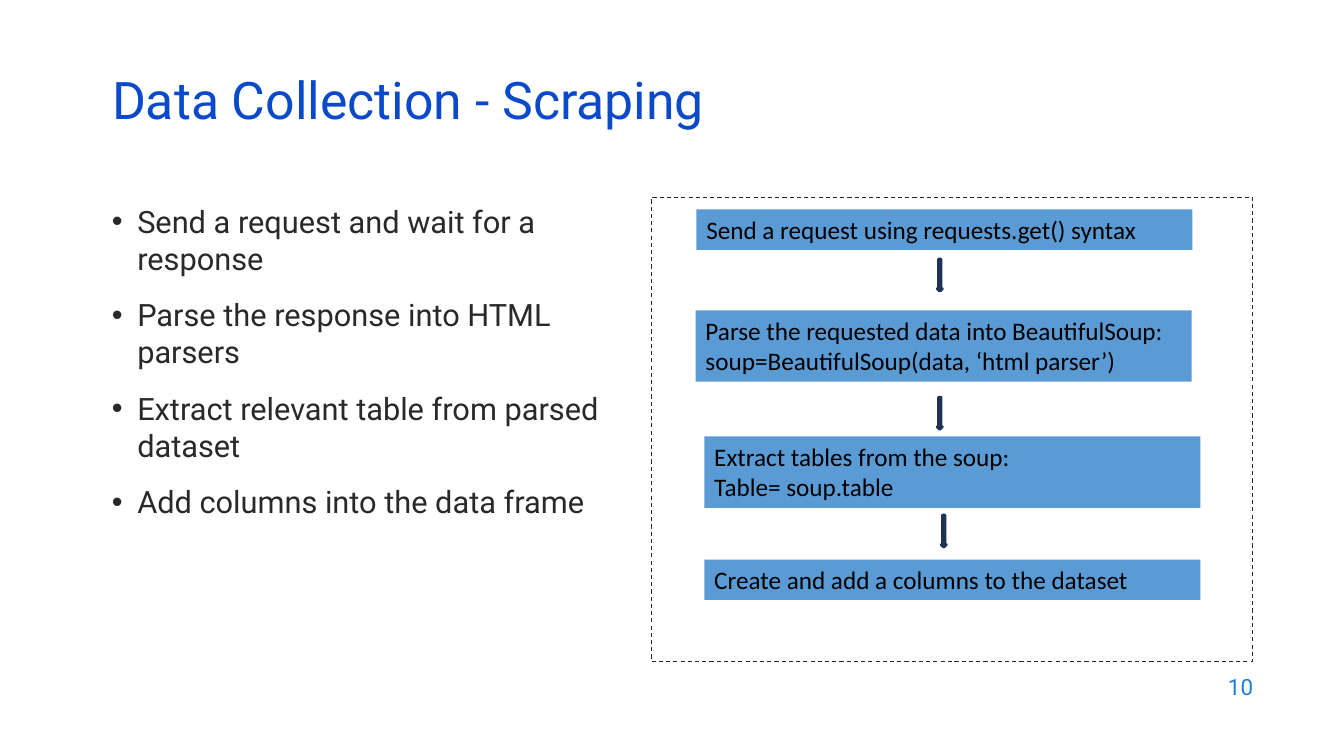
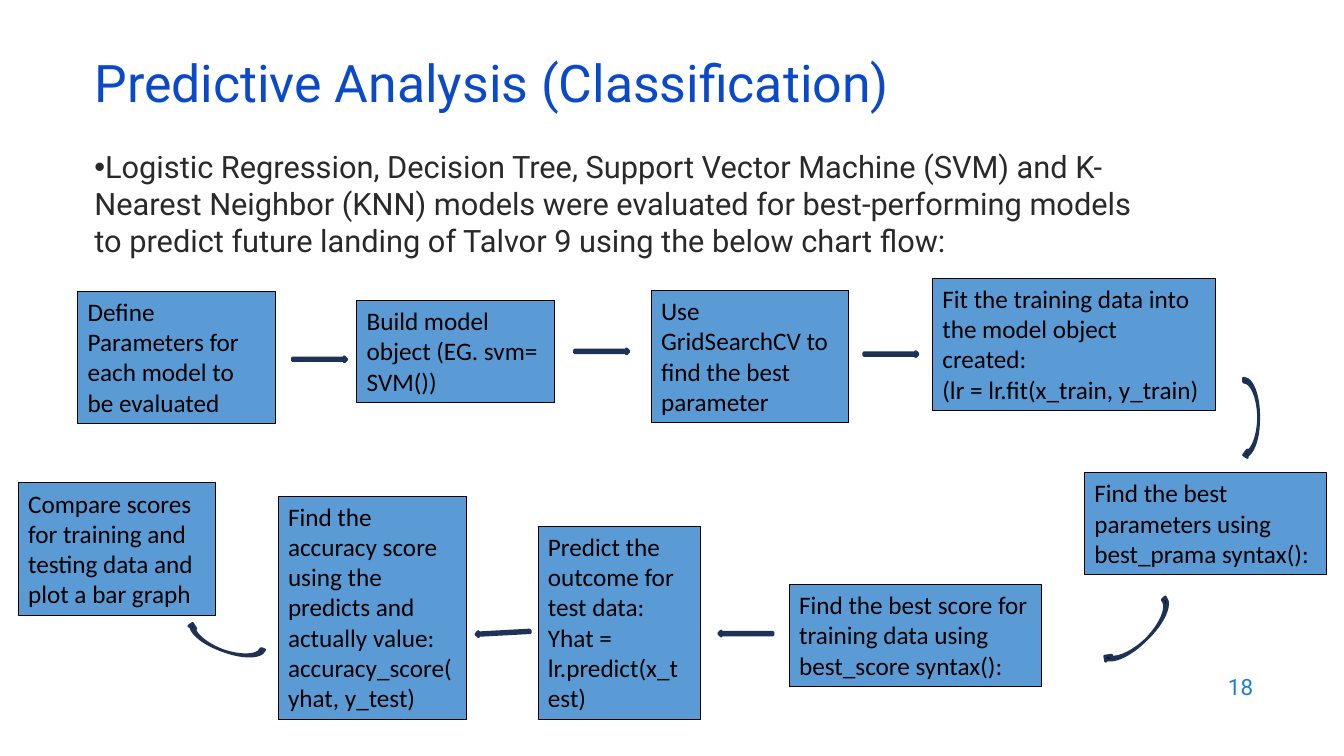
from lxml.etree import SubElement
from pptx import Presentation
from pptx.dml.color import RGBColor
from pptx.enum.dml import MSO_LINE
from pptx.enum.shapes import MSO_SHAPE
from pptx.enum.text import MSO_ANCHOR, MSO_AUTO_SIZE, PP_ALIGN
from pptx.oxml.ns import qn
from pptx.util import Cm, Pt

TITLE_BLUE = RGBColor(0x0B, 0x49, 0xCB)
NUMBER_BLUE = RGBColor(0x1C, 0x7D, 0xDB)
BODY_GREY = RGBColor(0x29, 0x29, 0x29)
BOX_BLUE = RGBColor(0x5B, 0x9B, 0xD5)
ARROW_BLUE = RGBColor(0x44, 0x72, 0xC4)
ARROW_EDGE = RGBColor(0x1E, 0x32, 0x56)
BLACK = RGBColor(0, 0, 0)
HEADING_FONT = "Roboto"
BOX_FONT = "Calibri"
TITLE_ONLY = 5

STEP_WIDTH = 12.5
ONE_LINE, TWO_LINES = 1.02, 1.8
SCRAPING_POINTS = [
    "Send a request and wait for a response",
    "Parse the response into HTML parsers",
    "Extract relevant table from parsed dataset",
    "Add columns into the data frame",
]
SCRAPING_STEPS = [
    (17.55, 5.28, ONE_LINE, "Send a request using requests.get() syntax"),
    (17.53, 7.82, TWO_LINES, "Parse the requested data into BeautifulSoup:\n"
     "soup=BeautifulSoup(data, ‘html parser’)"),
    (17.75, 11, TWO_LINES, "Extract tables from the soup:\nTable= soup.table"),
    (17.75, 14.1, ONE_LINE, "Create and add a columns to the dataset"),
]
DOWN_ARROWS = [(23.62, 6.53), (23.62, 10.01), (23.72, 12.98)]

MODEL_POINTS = [
    "Logistic Regression, Decision Tree, Support Vector Machine (SVM) and "
    "K-Nearest Neighbor (KNN) models were evaluated for best-performing models "
    "to predict future landing of Talvor 9 using the below chart flow:",
]
MODEL_STEPS = [
    (1.96, 7.34, 4.98, 3.33, "Define Parameters for each model to be evaluated"),
    (8.99, 7.57, 4.98, 2.57, "Build model object (EG. svm= SVM())"),
    (16.41, 7.32, 4.98, 3.33, "Use GridSearchCV to find the best parameter"),
    (23.5, 7.01, 7.14, 3.33, "Fit the training data into the model object created:\n"
     "(lr = lr.fit(x_train, y_train)"),
    (27.33, 11.91, 6.1, 2.57, "Find the best parameters using best_prama syntax():"),
    (19.89, 14.73, 6.35, 2.57,
     "Find the best score for training data using best_score syntax():"),
    (13.56, 13.26, 4.09, 4.88,
     "Predict the outcome for test data:\nYhat = lr.predict(x_test)"),
    (7.01, 12.5, 4.75, 5.64,
     "Find the accuracy score using the predicts and actually value:\n"
     "accuracy_score(yhat, y_test)"),
    (0.46, 12.17, 4.98, 3.33,
     "Compare scores for training and testing data and plot a bar graph"),
]
STRAIGHT_ARROWS = [
    (7.37, 8.99, 0), (14.48, 8.79, 0), (21.77, 8.86, 0),
    (18.11, 15.9, 180), (11.99, 15.88, 176.9),
]
CURVED_ARROWS = [
    (31.34, 9.53, 0.38, 2.03, 0),
    (28.5, 14.86, 0.43, 2.24, 45.6),
    (5.46, 15.19, 0.38, 2.03, 110.1),
]


def format_text(text_frame, font_name, size, color, anchor=MSO_ANCHOR.TOP):
    """Give all text of a frame one look."""
    text_frame.word_wrap = True
    text_frame.auto_size = MSO_AUTO_SIZE.NONE
    text_frame.vertical_anchor = anchor
    for paragraph in text_frame.paragraphs:
        for run in paragraph.runs:
            run.font.name = font_name
            run.font.size = Pt(size)
            run.font.color.rgb = color


def add_text(slide, bounds, text):
    """Add a text box and return its text frame."""
    text_frame = slide.shapes.add_textbox(*map(Cm, bounds)).text_frame
    text_frame.text = text
    return text_frame


def add_titled_slide(presentation, title, left, top, number):
    """Add a slide with its title and page number."""
    slide = presentation.slides.add_slide(presentation.slide_layouts[TITLE_ONLY])
    shape = slide.shapes.title
    shape.left, shape.top, shape.width, shape.height = map(Cm, (left, top, 29.21, 1.52))
    shape.text_frame.text = title
    paragraph = shape.text_frame.paragraphs[0]
    paragraph.alignment = PP_ALIGN.LEFT
    paragraph.line_spacing = 0.7
    format_text(shape.text_frame, HEADING_FONT, 37, TITLE_BLUE, MSO_ANCHOR.MIDDLE)

    number_frame = add_text(slide, (24.21, 16.74, 7.62, 1.12), number)
    number_frame.paragraphs[0].alignment = PP_ALIGN.RIGHT
    format_text(number_frame, HEADING_FONT, 16, NUMBER_BLUE, MSO_ANCHOR.MIDDLE)
    return slide


def add_bullets(slide, bounds, points, hanging):
    """Add a bulleted list with the given hanging indent."""
    text_frame = add_text(slide, bounds, "\n".join(points))
    for index, paragraph in enumerate(text_frame.paragraphs):
        properties = paragraph._p.get_or_add_pPr()
        properties.set("marL", str(Cm(hanging)))
        properties.set("indent", str(-Cm(hanging)))
        SubElement(properties, qn("a:buFont"), typeface="Arial")
        SubElement(properties, qn("a:buChar"), char="•")
        if index:
            paragraph.space_before = Pt(14)
    format_text(text_frame, HEADING_FONT, 22, BODY_GREY)


def add_figure(slide, preset, bounds, fill=None, line=None, line_width=0.75, rotation=0):
    """Add a preset shape with optional fill and line."""
    shape = slide.shapes.add_shape(preset, *map(Cm, bounds))
    shape.shadow.inherit = False
    shape.rotation = rotation
    if fill is None:
        shape.fill.background()
    else:
        shape.fill.solid()
        shape.fill.fore_color.rgb = fill
    if line is None:
        shape.line.fill.background()
    else:
        shape.line.color.rgb = line
        shape.line.width = Pt(line_width)
    return shape


def add_step(slide, bounds, text, line=None):
    """Add a blue flow box with left-aligned text."""
    shape = add_figure(slide, MSO_SHAPE.RECTANGLE, bounds, BOX_BLUE, line)
    shape.text_frame.text = text
    for paragraph in shape.text_frame.paragraphs:
        paragraph.alignment = PP_ALIGN.LEFT
    format_text(shape.text_frame, BOX_FONT, 18, BLACK)


def add_arrow(slide, preset, bounds, fill, rotation=0):
    """Add a block arrow with the dark blue edge."""
    add_figure(slide, preset, bounds, fill, ARROW_EDGE, 2, rotation)


def build_scraping(presentation):
    """Build the data collection slide."""
    slide = add_titled_slide(presentation, "Data Collection - Scraping", 2.57, 1.93, "10")
    add_bullets(slide, (2.57, 4.98, 13.84, 10.59), SCRAPING_POINTS, 0.64)
    frame = add_figure(slide, MSO_SHAPE.RECTANGLE, (16.41, 4.98, 15.16, 11.68),
                       line=BODY_GREY)
    frame.line.dash_style = MSO_LINE.DASH
    for left, top, height, text in SCRAPING_STEPS:
        add_step(slide, (left, top, STEP_WIDTH, height), text)
    for left, top in DOWN_ARROWS:
        add_arrow(slide, MSO_SHAPE.DOWN_ARROW, (left, top, 0.13, 0.81), ARROW_BLUE)


def build_classification(presentation):
    """Build the predictive analysis slide."""
    slide = add_titled_slide(presentation, "Predictive Analysis (Classification)",
                             2.13, 1.5, "18")
    add_bullets(slide, (2.13, 3.61, 27.08, 12.09), MODEL_POINTS, 0)
    for *bounds, text in MODEL_STEPS:
        add_step(slide, bounds, text, BLACK)
    for left, top, rotation in STRAIGHT_ARROWS:
        add_arrow(slide, MSO_SHAPE.RIGHT_ARROW, (left, top, 1.37, 0.13), BLACK, rotation)
    for *bounds, rotation in CURVED_ARROWS:
        add_arrow(slide, MSO_SHAPE.CURVED_LEFT_ARROW, bounds, BLACK, rotation)


def main():
    """Build and save the presentation."""
    presentation = Presentation()
    presentation.slide_width = Cm(33.87)
    presentation.slide_height = Cm(19.05)
    build_scraping(presentation)
    build_classification(presentation)
    presentation.save("out.pptx")


if __name__ == "__main__":
    main()
